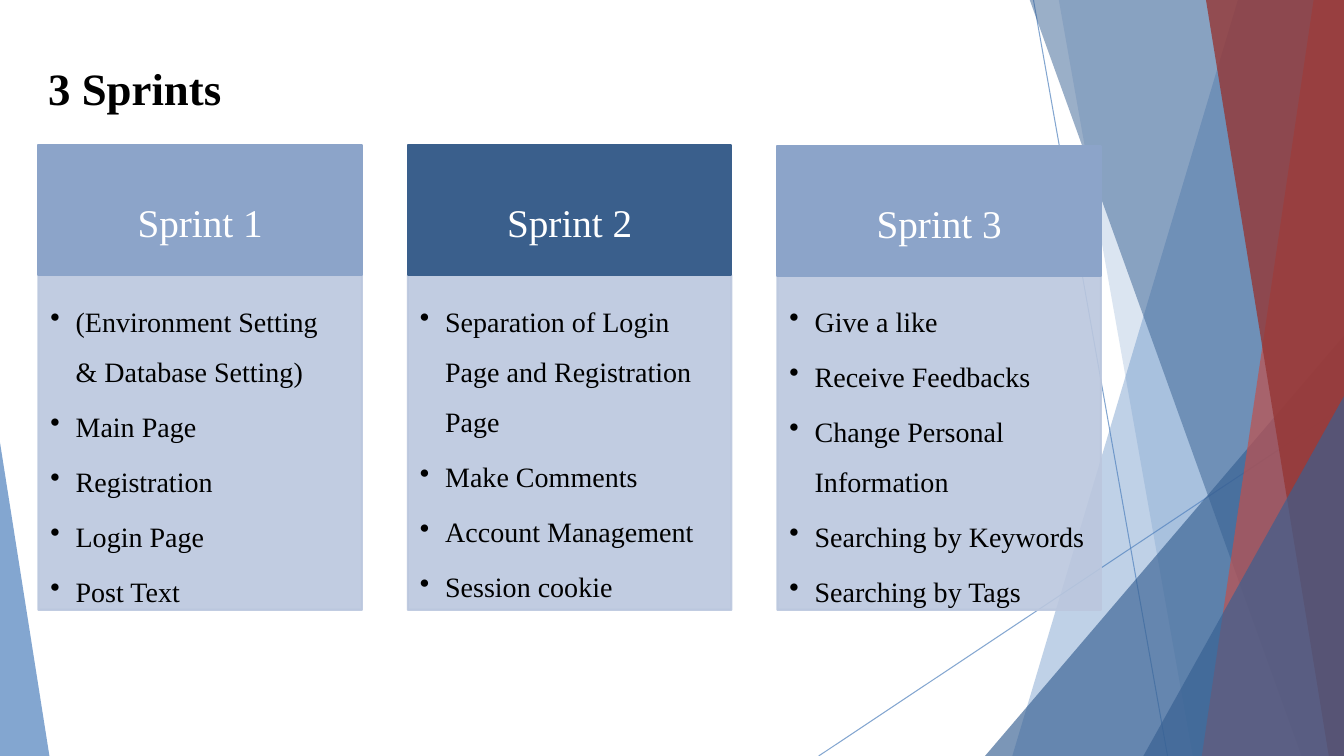
import pptx
import pptx.util
import pptx.dml.color
import pptx.enum.shapes
import pptx.enum.text
import pptx.oxml
import pptx.oxml.ns
from pptx.util import Inches

SHAPE = pptx.enum.shapes.MSO_SHAPE
ALIGN = pptx.enum.text.PP_ALIGN
ANCHOR = pptx.enum.text.MSO_ANCHOR


def rgb(value):
    return pptx.dml.color.RGBColor.from_string(value)


class Deck:
    font = "Times New Roman"

    def __init__(self, width, height):
        self.prs = pptx.Presentation()
        self.prs.slide_width = Inches(width)
        self.prs.slide_height = Inches(height)
        self.s = self.prs.slides.add_slide(self.prs.slide_layouts[6])

    def add_child(self, parent, tag, **attrs):
        child = pptx.oxml.parse_xml(f"<{tag} {pptx.oxml.ns.nsdecls('a')}/>")
        for name, value in attrs.items():
            child.set(name, str(value))
        parent.append(child)

    def paint(self, fill, color, alpha):
        fill.solid()
        fill.fore_color.rgb = rgb(color)
        if alpha < 100:
            clr = fill._xPr.find(".//" + pptx.oxml.ns.qn("a:srgbClr"))
            self.add_child(clr, "a:alpha", val=alpha * 1000)

    def style(self, sp, color, alpha, outline):
        sp.shadow.inherit = False
        self.paint(sp.fill, color, alpha)
        if outline:
            sp.line.width = pptx.util.Pt(outline)
            self.paint(sp.line.fill, color, alpha)
        else:
            sp.line.fill.background()

    def line(self, x1, y1, x2, y2, color, alpha):
        c = self.s.shapes.add_connector(
            pptx.enum.shapes.MSO_CONNECTOR.STRAIGHT,
            Inches(x1), Inches(y1), Inches(x2), Inches(y2))
        c.line.width = pptx.util.Pt(0.75)
        self.paint(c.line.fill, color, alpha)
        self.add_child(c._element.spPr, "a:effectLst")

    def polygon(self, points, color, alpha):
        pts = [(Inches(x), Inches(y)) for x, y in points]
        builder = self.s.shapes.build_freeform(*pts[0], scale=1.0)
        builder.add_line_segments(pts[1:], close=True)
        self.style(builder.convert_to_shape(), color, alpha, 0)

    def shape(self, kind, x, y, w, h, color, alpha=100, outline=0, adj=None):
        sp = self.s.shapes.add_shape(kind, Inches(x), Inches(y), Inches(w), Inches(h))
        self.style(sp, color, alpha, outline)
        if adj is not None:
            sp.adjustments[0] = adj
        return sp

    def text(self, sp, lines, size, color, align=ALIGN.LEFT, anchor=ANCHOR.TOP,
             insets=(0.1, 0.05, 0.1, 0.05), after=0, bold=False, bullet=False):
        tf = sp.text_frame
        tf.word_wrap = True
        tf.vertical_anchor = anchor
        tf.margin_left, tf.margin_top, tf.margin_right, tf.margin_bottom = map(Inches, insets)
        for i, line in enumerate(lines):
            p = tf.add_paragraph() if i else tf.paragraphs[0]
            p.alignment = align
            p.line_spacing = 1.5
            p.space_after = pptx.util.Pt(after)
            if bullet:
                pPr = p._p.get_or_add_pPr()
                pPr.set("marL", str(Inches(0.25)))
                pPr.set("indent", str(-Inches(0.25)))
                self.add_child(pPr, "a:buChar", char="•")
            r = p.add_run()
            r.text = line
            r.font.name = self.font
            r.font.size = pptx.util.Pt(size)
            r.font.bold = bold
            r.font.color.rgb = rgb(color)

    def title(self, x, y, w, h, words):
        sp = self.s.shapes.add_textbox(Inches(x), Inches(y), Inches(w), Inches(h))
        self.text(sp, [words], 32, "000000", bold=True)

    def card(self, x, y, heading, color, items):
        body = self.shape(SHAPE.RECTANGLE, x, 2.73, 3.21, 3.32, "BBC7DE", 90, 1.5)
        self.text(body, items, 20, "000000", insets=(0.12, 0.12, 0.16, 0.17),
                  after=3.3, bullet=True)
        head = self.shape(SHAPE.RECTANGLE, x, y, 3.21, 1.29, color, outline=1.5)
        self.text(head, [heading], 28, "FFFFFF", ALIGN.CENTER, ANCHOR.MIDDLE,
                  (0.22, 0.12, 0.22, 0.12), after=11)


def main():
    right, top, bottom = 13.33, -0.01, 7.5
    blue, navy, red, maroon = "4F81BD", "376092", "C0504D", "953735"
    deck = Deck(right, bottom)

    def band(top_x, bottom_x, color, alpha):
        deck.polygon([(top_x, top), (right, top), (right, bottom), (bottom_x, bottom)],
                     color, alpha)

    def corner(x, y, w, color, alpha, adj):
        deck.shape(SHAPE.ISOSCELES_TRIANGLE, x, y, w, bottom - y, color, alpha, adj=adj)

    deck.line(10.25, 0, 11.58, bottom, blue, 70)
    deck.line(right, 4.03, 8.12, bottom, blue, 70)
    band(12.28, 10.04, blue, 36)
    band(10.5, 11.83, blue, 20)
    corner(9.77, 3.33, 3.56, navy, 66, 1)
    band(10.21, 12.91, navy, 50)
    band(13.03, 11.92, red, 70)
    band(11.96, 13.18, maroon, 80)
    corner(11.34, 3.93, 1.99, navy, 66, 1)
    corner(0, 4.39, 0.49, blue, 70, 0)

    deck.title(0.38, 0.29, 8.83, 0.81, "3 Sprints")
    sprints = [
        (1.44, "8CA4C9", ["(Environment Setting & Database Setting)", "Main Page",
                          "Registration", "Login Page", "Post Text"]),
        (1.44, "3A5F8C", ["Separation of Login Page and Registration Page",
                          "Make Comments", "Account Management", "Session cookie"]),
        (1.45, "8CA4C9", ["Give a like", "Receive Feedbacks",
                          "Change Personal Information", "Searching by Keywords",
                          "Searching by Tags"]),
    ]
    for i, (y, color, items) in enumerate(sprints):
        deck.card(0.38 + i * 3.665, y, f"Sprint {i + 1}", color, items)

    deck.prs.save("out.pptx")


if __name__ == "__main__":
    main()
